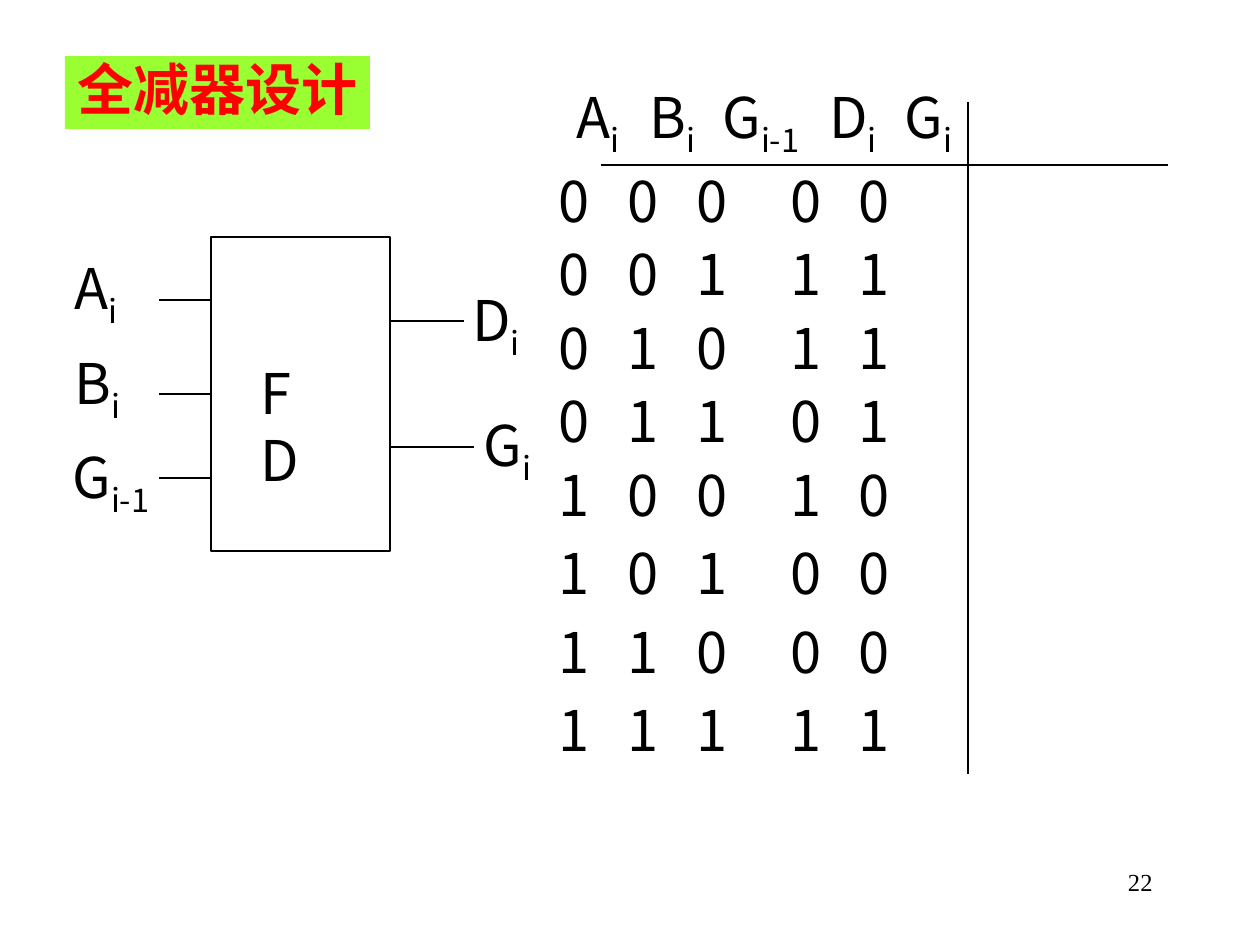
from lxml.etree import SubElement
from pptx import Presentation
from pptx.dml.color import RGBColor
from pptx.enum.shapes import MSO_CONNECTOR, MSO_SHAPE
from pptx.enum.text import MSO_ANCHOR, MSO_AUTO_SIZE, PP_ALIGN
from pptx.oxml.ns import qn
from pptx.util import Emu, Pt

EMU_PER_PX = 914400 / 126
BLACK, RED, GREEN = "000000", "FF0000", "99FF33"


def px(length):
    return Emu(round(length * EMU_PER_PX))


def color(hex_string):
    return RGBColor.from_string(hex_string)


class SlideBuilder:
    """Holds the text style and the slide being filled."""

    font_name = "Noto Sans CJK SC"
    font_size = 32
    line_width = 1.5

    def __init__(self, slide):
        self.slide = slide

    def add_run(self, paragraph, text, subscript=False, hex_color=BLACK, **formats):
        run = paragraph.add_run()
        run.text = text
        values = {"name": self.font_name, "size": Pt(self.font_size), **formats}
        for attribute, value in values.items():
            setattr(run.font, attribute, value)
        run.font.color.rgb = color(hex_color)
        properties = run._r.get_or_add_rPr()
        SubElement(properties, qn("a:ea"), typeface=values["name"])
        if subscript:
            properties.set("baseline", "-25000")

    def prepare_frame(self, shape):
        frame = shape.text_frame
        values = {"word_wrap": False, "auto_size": MSO_AUTO_SIZE.NONE,
                  "vertical_anchor": MSO_ANCHOR.TOP}
        for attribute, value in values.items():
            setattr(frame, attribute, value)
        paragraph = frame.paragraphs[0]
        paragraph.alignment = PP_ALIGN.LEFT
        return paragraph

    def title(self, text, left, top, width, height):
        shape = self.slide.shapes.title
        box = {"left": left, "top": top, "width": width, "height": height}
        for attribute, value in box.items():
            setattr(shape, attribute, px(value))
        shape.fill.solid()
        shape.fill.fore_color.rgb = color(GREEN)
        paragraph = self.prepare_frame(shape)
        shape.text_frame.margin_right = 0  # keeps the title on one line
        paragraph.line_spacing = 0.9
        paragraph.space_before = Pt(0)
        self.add_run(paragraph, text, hex_color=RED, bold=True)

    def text(self, left, top, width, height, tabs=()):
        """Add an empty text box and return its paragraph."""
        shape = self.slide.shapes.add_textbox(px(left), px(top), px(width), px(height))
        paragraph = self.prepare_frame(shape)
        if tabs:
            tab_list = SubElement(paragraph._p.get_or_add_pPr(), qn("a:tabLst"))
            for position in tabs:
                SubElement(tab_list, qn("a:tab"), pos=str(px(position)), algn="l")
        return paragraph

    def symbols(self, names, left, top, width, tabs=()):
        """Write letters with subscripts, one per tab column."""
        paragraph = self.text(left, top, width, 89, tabs)
        for index, (letter, subscript) in enumerate(names):
            self.add_run(paragraph, "\t" * (index > 0) + letter)
            self.add_run(paragraph, subscript, subscript=True)

    def rectangle(self, left, top, width, height):
        shape = self.slide.shapes.add_shape(
            MSO_SHAPE.RECTANGLE, px(left), px(top), px(width), px(height))
        shape.shadow.inherit = False
        shape.fill.background()
        shape.line.color.rgb = color(BLACK)
        shape.line.width = Pt(self.line_width)
        return shape

    def line(self, x1, y1, x2, y2):
        connector = self.slide.shapes.add_connector(
            MSO_CONNECTOR.STRAIGHT, px(x1), px(y1), px(x2), px(y2))
        connector.line.color.rgb = color(BLACK)
        connector.line.width = Pt(self.line_width)
        SubElement(connector._element.spPr, qn("a:effectLst"))
        return connector


def main():
    presentation = Presentation()
    presentation.slide_width, presentation.slide_height = px(1260), px(945)
    slide = presentation.slides.add_slide(presentation.slide_layouts[5])
    builder = SlideBuilder(slide)

    # Title and page number
    builder.title("全减器设计", 65, 56, 305, 73)
    page_number = builder.text(903, 861, 262, 63)
    page_number.alignment = PP_ALIGN.RIGHT
    builder.add_run(page_number, "22", name="Times New Roman", size=Pt(14))

    # Subtractor block with its label on two lines
    left, top, width, height = 211, 237, 179, 314
    right, middle = left + width, top + height // 2
    block = builder.rectangle(left, top, width, height)
    label = builder.text(248, 352, 92, 148)
    builder.add_run(label, "F")
    label.add_line_break()
    builder.add_run(label, "D")

    # Inputs: line height, label position
    inputs = [("A", "i", 300, 62, 247), ("B", "i", middle, 62, 342),
              ("G", "i-1", 478, 60, 436)]
    for letter, subscript, y, label_left, label_top in inputs:
        wire = builder.line(left, y, 159, y)
        if y == middle:
            wire.begin_connect(block, 1)
        builder.symbols([(letter, subscript)], label_left, label_top, 117)

    # Outputs: line height and end, label position
    outputs = [("D", 321, 464, 460, 279), ("G", 447, 474, 471, 404)]
    for letter, y, end, label_left, label_top in outputs:
        builder.line(right, y, end, y)
        builder.symbols([(letter, "i")], label_left, label_top, 78)

    # Truth table rules and heading
    builder.line(601, 165, 1168, 165)
    builder.line(968, 102, 968, 774)
    heading = [("A", "i"), ("B", "i"), ("G", "i-1"), ("D", "i"), ("G", "i")]
    builder.symbols(heading, 564, 76, 641, tabs=(73, 146, 253, 328))

    # Truth table rows: A, B, G in, then difference and borrow
    for index in range(8):
        a, b, g = index >> 2, index >> 1 & 1, index & 1
        values = (a, b, g, a ^ b ^ g, int(a - b - g < 0))
        row_top = 160 + index * 147 // 2 + max(0, index - 4) * 5
        row = builder.text(546, row_top, 667, 81, tabs=(69, 138, 232, 300))
        builder.add_run(row, "\t".join(map(str, values)))

    presentation.save("out.pptx")


if __name__ == "__main__":
    main()
